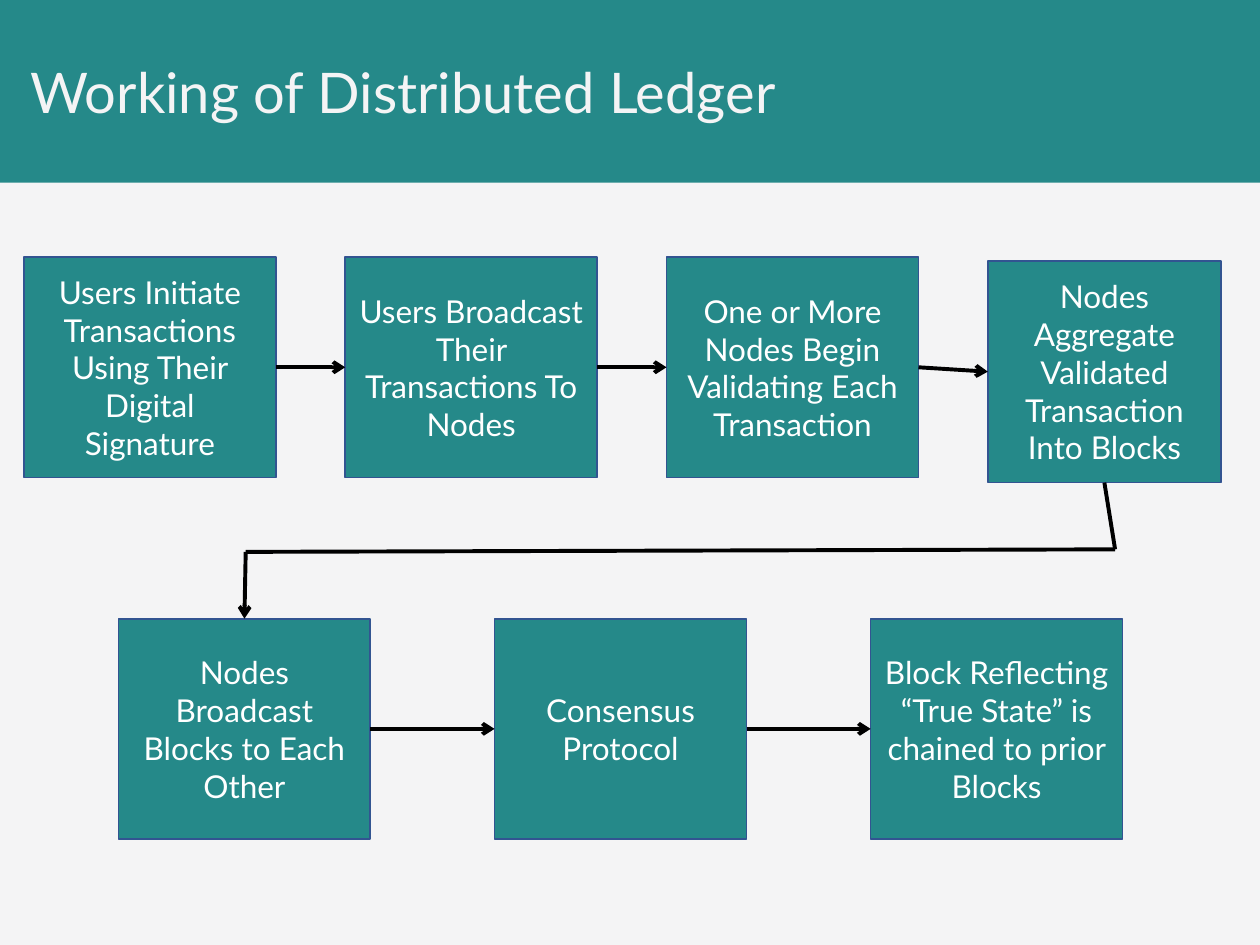
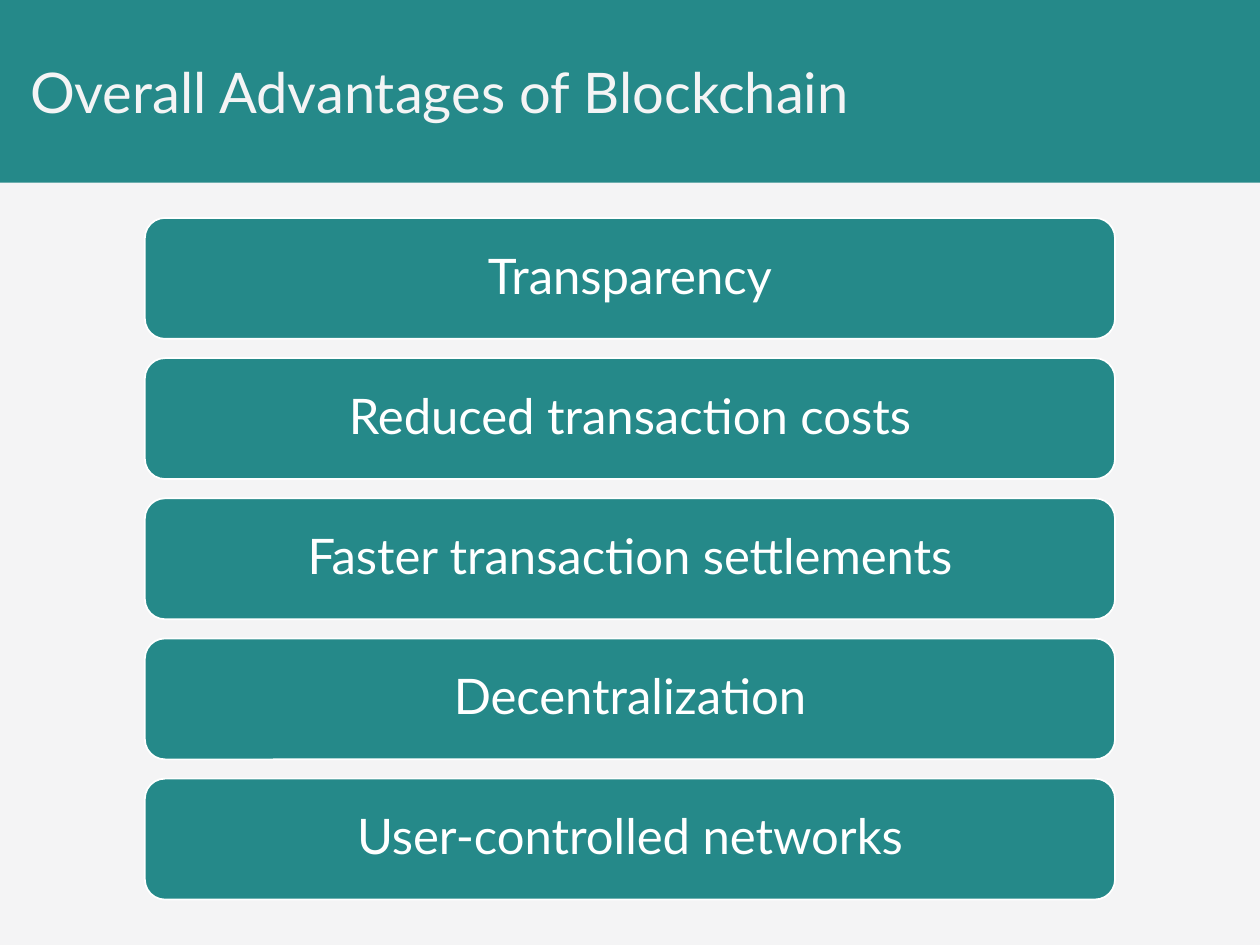
from dataclasses import dataclass
from itertools import pairwise

from lxml import etree
from pptx import Presentation
from pptx.dml.color import RGBColor
from pptx.enum.shapes import MSO_CONNECTOR, MSO_SHAPE
from pptx.enum.text import MSO_ANCHOR, PP_ALIGN
from pptx.oxml.ns import qn
from pptx.shapes.autoshape import Shape
from pptx.shapes.connector import Connector
from pptx.slide import Slide
from pptx.text.text import TextFrame
from pptx.util import Inches, Pt

RECTANGLE = MSO_SHAPE.RECTANGLE
ROUNDED = MSO_SHAPE.ROUNDED_RECTANGLE
STRAIGHT = MSO_CONNECTOR.STRAIGHT
CENTER = PP_ALIGN.CENTER
JUSTIFY = PP_ALIGN.JUSTIFY
MIDDLE = MSO_ANCHOR.MIDDLE
TOP, LEFT, BOTTOM, RIGHT = range(4)


@dataclass(frozen=True)
class Theme:
    font: str = "Lato"
    paper: RGBColor = RGBColor(0xF4, 0xF4, 0xF5)
    teal: RGBColor = RGBColor(0x25, 0x89, 0x89)
    step_border: RGBColor = RGBColor(0x32, 0x54, 0x91)
    white: RGBColor = RGBColor(0xFF, 0xFF, 0xFF)
    flow: RGBColor = RGBColor(0, 0, 0)
    title_size: float = 32
    advantage_size: float = 28
    step_size: float = 18
    border_width: float = 1
    flow_width: float = 2.25


@dataclass(frozen=True)
class Area:
    left: float
    top: float
    width: float
    height: float

    def emu(self) -> tuple[int, int, int, int]:
        return (Inches(self.left), Inches(self.top),
                Inches(self.width), Inches(self.height))


@dataclass(frozen=True)
class Grid:
    first: Area
    column_pitch: float = 0
    row_pitch: float = 0

    def cell(self, column: int = 0, row: int = 0) -> Area:
        return Area(self.first.left + column * self.column_pitch,
                    self.first.top + row * self.row_pitch,
                    self.first.width, self.first.height)


@dataclass(frozen=True)
class Step:
    label: str
    area: Area


@dataclass(frozen=True)
class Point:
    x: float
    y: float


THEME = Theme()
PAGE_WIDTH, PAGE_HEIGHT = 10, 7.5
BAND = Area(0, 0, PAGE_WIDTH, 1.45)
TITLE = Area(0.14, 0, 9.68, BAND.height)

LEDGER_ROW = Grid(Area(0.19, 2.04, 2, 1.75), column_pitch=2.55)
BLOCK_ROW = Grid(Area(0.94, 4.91, 2, 1.75), column_pitch=2.985)
ADVANTAGE_LIST = Grid(Area(1.15, 1.73, 7.7, 0.96), row_pitch=1.1125)

LEDGER_STEPS = [
    Step("Users Initiate Transactions Using Their Digital Signature",
         LEDGER_ROW.cell(0)),
    Step("Users Broadcast Their Transactions To Nodes", LEDGER_ROW.cell(1)),
    Step("One or More Nodes Begin Validating Each Transaction",
         LEDGER_ROW.cell(2)),
    Step("Nodes Aggregate Validated Transaction Into Blocks",
         Area(7.84, 2.07, 1.85, 1.76)),
]
BLOCK_STEPS = [
    Step("Nodes Broadcast Blocks to Each Other", BLOCK_ROW.cell(0)),
    Step("Consensus Protocol", BLOCK_ROW.cell(1)),
    Step("Block Reflecting “True State” is chained to prior Blocks",
         BLOCK_ROW.cell(2)),
]
RETURN_START = Point(8.85, 4.36)
RETURN_END = Point(1.95, 4.38)

ADVANTAGES = [
    "Transparency",
    "Reduced transaction costs",
    "Faster transaction settlements",
    "Decentralization",
    "User-controlled networks",
]


def write(frame: TextFrame, text: str, size: float, color: RGBColor,
          alignment: PP_ALIGN) -> None:
    frame.word_wrap = True
    frame.vertical_anchor = MIDDLE
    paragraph = frame.paragraphs[0]
    paragraph.text = text
    paragraph.alignment = alignment
    paragraph.font.name = THEME.font
    paragraph.font.size = Pt(size)
    paragraph.font.color.rgb = color


def add_panel(slide: Slide, outline: MSO_SHAPE, area: Area,
              border: RGBColor | None = None) -> Shape:
    panel = slide.shapes.add_shape(outline, *area.emu())
    panel.shadow.inherit = False
    panel.fill.solid()
    panel.fill.fore_color.rgb = THEME.teal
    if border is None:
        panel.line.fill.background()
    else:
        panel.line.color.rgb = border
        panel.line.width = Pt(THEME.border_width)
    return panel


def add_titled_slide(deck: Presentation, title: str) -> Slide:
    slide = deck.slides.add_slide(deck.slide_layouts[6])
    slide.background.fill.solid()
    slide.background.fill.fore_color.rgb = THEME.paper
    add_panel(slide, RECTANGLE, BAND)
    heading = slide.shapes.add_textbox(*TITLE.emu())
    write(heading.text_frame, title, THEME.title_size, THEME.paper, JUSTIFY)
    return slide


def add_step(slide: Slide, step: Step) -> Shape:
    panel = add_panel(slide, RECTANGLE, step.area, THEME.step_border)
    write(panel.text_frame, step.label, THEME.step_size, THEME.white, CENTER)
    return panel


def add_flow(slide: Slide, start: Point, end: Point,
             arrow: bool = False) -> Connector:
    flow = slide.shapes.add_connector(
        STRAIGHT, Inches(start.x), Inches(start.y),
        Inches(end.x), Inches(end.y))
    flow.line.color.rgb = THEME.flow
    flow.line.width = Pt(THEME.flow_width)
    if arrow:
        etree.SubElement(flow.line._get_or_add_ln(), qn("a:tailEnd"),
                         type="arrow")
    etree.SubElement(flow._element.spPr, qn("a:effectLst"))
    return flow


def add_step_row(slide: Slide, steps: list[Step]) -> list[Shape]:
    panels = [add_step(slide, step) for step in steps]
    for source, target in pairwise(panels):
        flow = add_flow(slide, Point(0, 0), Point(0, 0), arrow=True)
        flow.begin_connect(source, RIGHT)
        flow.end_connect(target, LEFT)
    return panels


def build_ledger_slide(deck: Presentation) -> None:
    slide = add_titled_slide(deck, "Working of Distributed Ledger")
    ledger_panels = add_step_row(slide, LEDGER_STEPS)
    block_panels = add_step_row(slide, BLOCK_STEPS)
    descent = add_flow(slide, RETURN_START, RETURN_START)
    descent.begin_connect(ledger_panels[-1], BOTTOM)
    add_flow(slide, RETURN_START, RETURN_END)
    arrival = add_flow(slide, RETURN_END, RETURN_END, arrow=True)
    arrival.end_connect(block_panels[0], TOP)


def build_advantages_slide(deck: Presentation) -> None:
    slide = add_titled_slide(deck, "Overall Advantages of Blockchain")
    for row, advantage in enumerate(ADVANTAGES):
        panel = add_panel(slide, ROUNDED, ADVANTAGE_LIST.cell(row=row),
                          THEME.white)
        write(panel.text_frame, advantage, THEME.advantage_size,
              THEME.white, CENTER)
        panel.text_frame.paragraphs[0].line_spacing = 0.9


def main() -> None:
    deck = Presentation()
    deck.slide_width = Inches(PAGE_WIDTH)
    deck.slide_height = Inches(PAGE_HEIGHT)
    build_ledger_slide(deck)
    build_advantages_slide(deck)
    deck.save("out.pptx")


if __name__ == "__main__":
    main()
